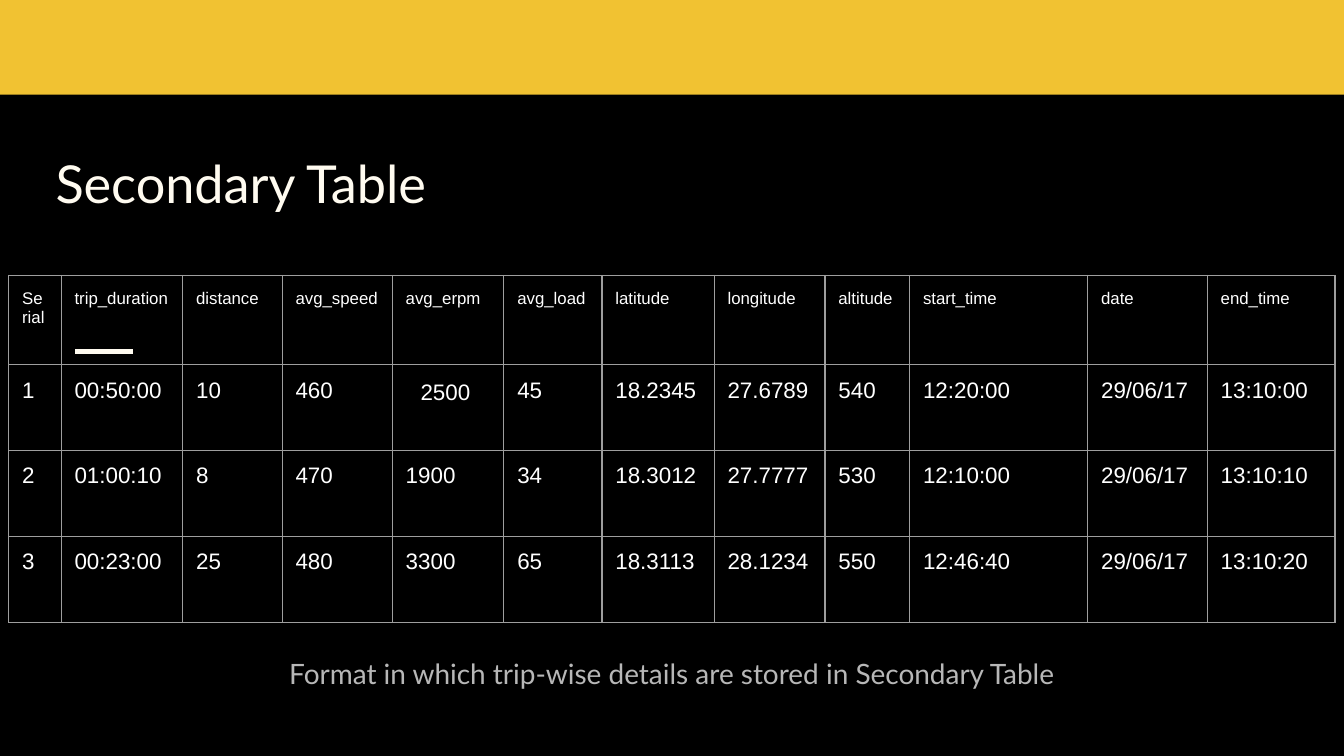
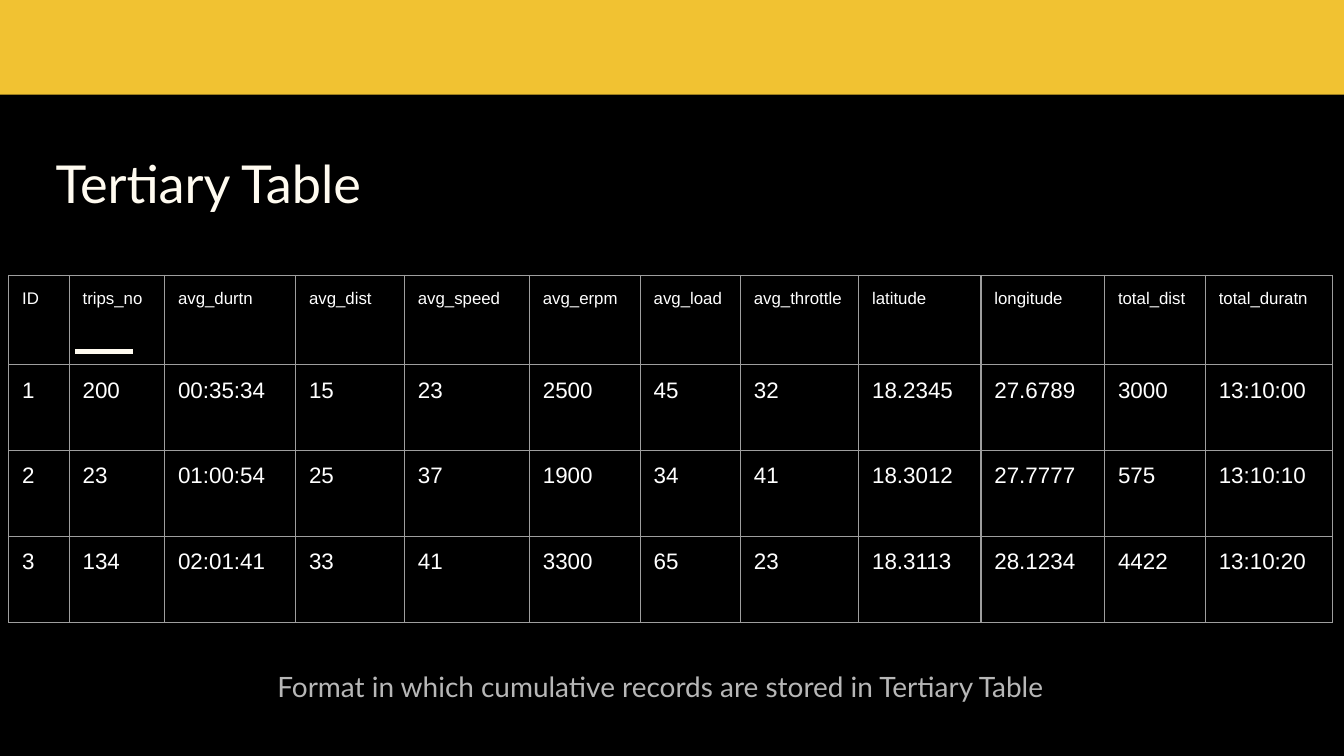
from dataclasses import dataclass

from lxml import etree
from pptx import Presentation
from pptx import util as u
from pptx.dml.color import RGBColor
from pptx.enum import shapes, text
from pptx.oxml.ns import qn

PX = 4572
INSET = 20
COLORS = {
    "background": "000000",
    "band": "F1C232",
    "cream": "FFFBF0",
    "caption": "B7B7B7",
    "cell": "FFFFFF",
    "border": "9E9E9E",
}
SLIDE_WIDTH, SLIDE_HEIGHT = 2000, 1125
BAND_HEIGHT = 141
ACCENT_LEFT, ACCENT_RIGHT, ACCENT_TOP = 112, 198, 523
TABLE_LEFT, TABLE_TOP = 13, 410
ROW_HEIGHTS = (132, 128, 128, 128)
HEADER_SIZE, BODY_SIZE = 9, 12


@dataclass(frozen=True)
class Label:
    """Placement and style of one line of text."""

    left: int
    top: int
    width: int
    height: int
    size: int
    color: str
    anchor: text.MSO_ANCHOR = text.MSO_ANCHOR.TOP
    align: text.PP_ALIGN = text.PP_ALIGN.LEFT


@dataclass(frozen=True)
class TableSlide:
    """Content of one slide; nudges shift the text of single cells."""

    title: str
    caption: str
    caption_left: int
    caption_top: int
    widths: tuple[int, ...]
    rows: tuple[str, ...]
    nudges: tuple[tuple[int, int, int, int], ...] = ()


TITLE = Label(63, 209, 1776, 130, 28, "cream", text.MSO_ANCHOR.BOTTOM)

SLIDES = (
    TableSlide(
        "Secondary Table",
        "Format in which trip-wise details are stored in Secondary Table",
        375,
        957,
        (78, 181, 148, 164, 166, 146, 167, 165, 126, 265, 178, 190),
        (
            "Serial trip_duration distance avg_speed avg_erpm avg_load "
            "latitude longitude altitude start_time date end_time",
            "1 00:50:00 10 460 2500 45 18.2345 27.6789 540 12:20:00 29/06/17 13:10:00",
            "2 01:00:10 8 470 1900 34 18.3012 27.7777 530 12:10:00 29/06/17 13:10:10",
            "3 00:23:00 25 480 3300 65 18.3113 28.1234 550 12:46:40 29/06/17 13:10:20",
        ),
        ((1, 4, 22, 4),),
    ),
    TableSlide(
        "Tertiary Table",
        "Format in which cumulative records are stored in Tertiary Table",
        358,
        977,
        (90, 142, 195, 162, 186, 165, 149, 176, 182, 184, 150, 189),
        (
            "ID trips_no avg_durtn avg_dist avg_speed avg_erpm avg_load "
            "avg_throttle latitude longitude total_dist total_duratn",
            "1 200 00:35:34 15 23 2500 45 32 18.2345 27.6789 3000 13:10:00",
            "2 23 01:00:54 25 37 1900 34 41 18.3012 27.7777 575 13:10:10",
            "3 134 02:01:41 33 41 3300 65 23 18.3113 28.1234 4422 13:10:20",
        ),
    ),
)


def px(length: int) -> u.Emu:
    """Turn px into EMU."""
    return u.Emu(length * PX)


def color(name: str) -> RGBColor:
    """Look up a named colour."""
    return RGBColor.from_string(COLORS[name])


def style_font(paragraph, name: str, size: int, color_name: str) -> None:
    """Format every run of a paragraph."""
    for run in paragraph.runs:
        run.font.name = name
        run.font.size = u.Pt(size)
        run.font.color.rgb = color(color_name)


def set_margins(box, left: int = INSET, top: int = INSET) -> None:
    """Set the insets of a text frame or cell."""
    box.margin_left, box.margin_top = px(left), px(top)
    box.margin_right = box.margin_bottom = px(INSET)


def add_label(slide, label: Label, words: str) -> None:
    """Add a text box in the given style."""
    shape = slide.shapes.add_textbox(
        px(label.left), px(label.top), px(label.width), px(label.height)
    )
    frame = shape.text_frame
    frame.word_wrap = True
    frame.vertical_anchor = label.anchor
    set_margins(frame)
    frame.text = words
    paragraph = frame.paragraphs[0]
    paragraph.alignment = label.align
    style_font(paragraph, "Lato", label.size, label.color)


def add_frame(slide) -> None:
    """Add the background, top band and accent line."""
    slide.background.fill.solid()
    slide.background.fill.fore_color.rgb = color("background")
    band = slide.shapes.add_shape(
        shapes.MSO_SHAPE.RECTANGLE, 0, 0, px(SLIDE_WIDTH), px(BAND_HEIGHT)
    )
    band.shadow.inherit = False
    band.fill.solid()
    band.fill.fore_color.rgb = color("band")
    band.line.fill.background()
    accent = slide.shapes.add_connector(
        shapes.MSO_CONNECTOR.STRAIGHT,
        px(ACCENT_LEFT),
        px(ACCENT_TOP),
        px(ACCENT_RIGHT),
        px(ACCENT_TOP),
    )
    accent.line.color.rgb = color("cream")
    accent.line.width = u.Pt(2.25)
    etree.SubElement(accent._element.spPr, qn("a:effectLst"))


def add_borders(cell) -> None:
    """Draw thin lines on all four sides of a cell."""
    properties = cell._tc.get_or_add_tcPr()
    for index, side in enumerate(("lnL", "lnR", "lnT", "lnB")):
        line = etree.Element(qn(f"a:{side}"), w=str(u.Pt(0.75)))
        fill = etree.SubElement(line, qn("a:solidFill"))
        etree.SubElement(fill, qn("a:srgbClr"), val=COLORS["border"])
        properties.insert(index, line)


def add_data_table(slide, content: TableSlide) -> None:
    """Add the table of records."""
    table = slide.shapes.add_table(
        len(content.rows),
        len(content.widths),
        px(TABLE_LEFT),
        px(TABLE_TOP),
        px(sum(content.widths)),
        px(sum(ROW_HEIGHTS)),
    ).table
    table.first_row = table.horz_banding = False
    for column, width in zip(table.columns, content.widths):
        column.width = px(width)
    for row_index, (height, line) in enumerate(zip(ROW_HEIGHTS, content.rows)):
        table.rows[row_index].height = px(height)
        for column_index, value in enumerate(line.split()):
            cell = table.cell(row_index, column_index)
            cell.text_frame.text = value
            size = BODY_SIZE if row_index else HEADER_SIZE
            style_font(cell.text_frame.paragraphs[0], "Arial", size, "cell")
            set_margins(cell)
            cell.fill.background()
            add_borders(cell)
    for row_index, column_index, right, down in content.nudges:
        set_margins(table.cell(row_index, column_index), INSET + right, INSET + down)


def add_table_slide(presentation, content: TableSlide) -> None:
    """Build one slide."""
    slide = presentation.slides.add_slide(presentation.slide_layouts[6])
    add_frame(slide)
    add_label(slide, TITLE, content.title)
    caption = Label(
        content.caption_left,
        content.caption_top,
        1250,
        114,
        15,
        "caption",
        align=text.PP_ALIGN.CENTER,
    )
    add_label(slide, caption, content.caption)
    add_data_table(slide, content)


def main() -> None:
    """Build and save the presentation."""
    presentation = Presentation()
    presentation.slide_width = px(SLIDE_WIDTH)
    presentation.slide_height = px(SLIDE_HEIGHT)
    for content in SLIDES:
        add_table_slide(presentation, content)
    presentation.save("out.pptx")


if __name__ == "__main__":
    main()
